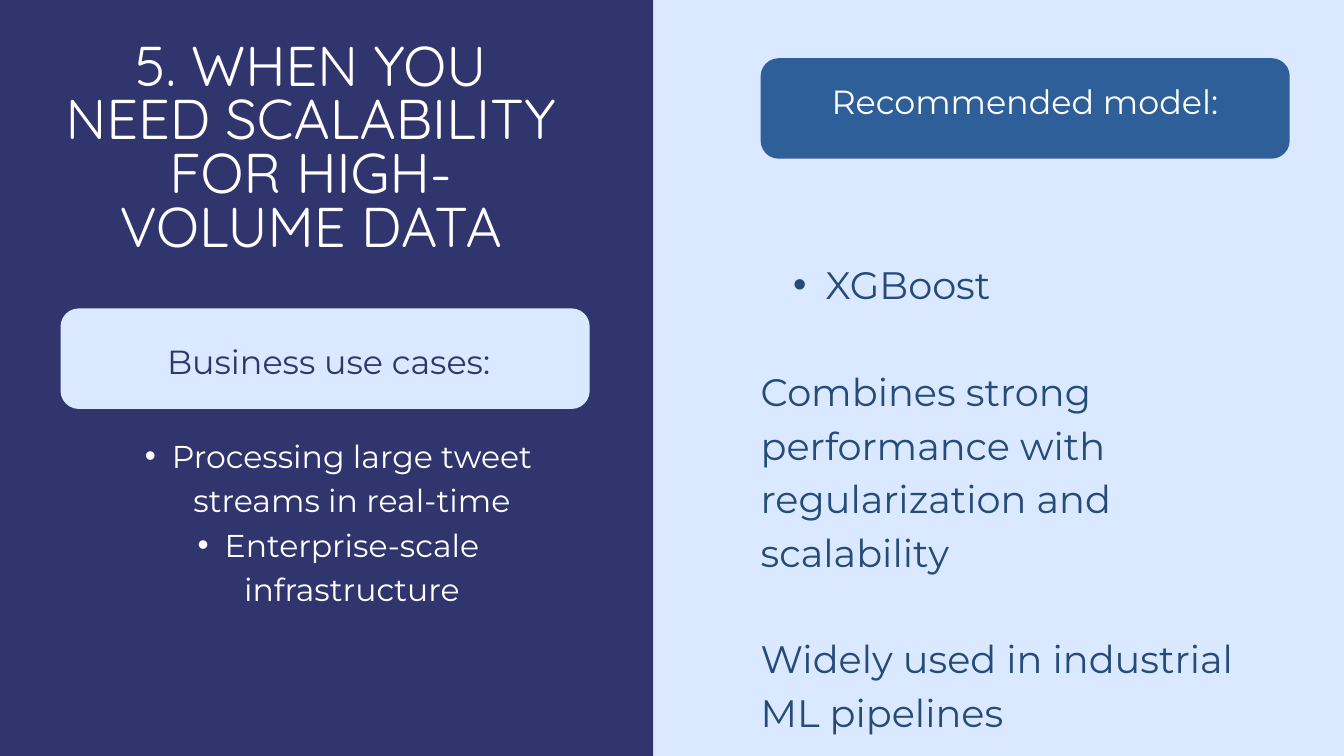
from lxml.etree import SubElement
from pptx import Presentation
from pptx.dml.color import RGBColor
from pptx.enum.shapes import MSO_SHAPE as Shape
from pptx.enum.text import MSO_ANCHOR as Anchor, MSO_AUTO_SIZE as AutoSize, PP_ALIGN as Align
from pptx.oxml.ns import qn
from pptx.util import Cm, Pt

COLORS = {"navy": "31356E", "pale": "DAE9FF", "blue": "2F5F98", "ink": "244B79", "white": "FFFFFF"}
CARD_W, CARD_H = 20, 3.8


def place(holder, left, top, width, height):
    """Position a text holder and strip its margins; return its text frame."""
    holder.left, holder.top, holder.width, holder.height = map(Cm, (left, top, width, height))
    frame = holder.text_frame
    frame.word_wrap = True
    frame.auto_size = AutoSize.NONE
    frame.vertical_anchor = Anchor.TOP
    frame.margin_left = frame.margin_top = frame.margin_right = frame.margin_bottom = 0
    return frame


def write(paragraph, text, font, size, color, leading, align, before=0, bullet_indent=0):
    """Add one run; bullet_indent in cm hangs a bullet, 0 means none."""
    paragraph.alignment = align
    paragraph.line_spacing = Pt(leading)
    paragraph.space_before = Pt(before)
    run = paragraph.add_run()
    run.text = text
    run.font.name = font
    run.font.size = Pt(size)
    run.font.color.rgb = RGBColor.from_string(COLORS[color])
    props = paragraph._p.get_or_add_pPr()
    props.set("marL", str(Cm(2 * bullet_indent)))
    props.set("indent", str(-Cm(bullet_indent)))
    if bullet_indent:
        SubElement(props, qn("a:buChar")).set("char", "•")
    else:
        SubElement(props, qn("a:buNone"))


prs = Presentation()
prs.slide_width, prs.slide_height = Cm(50.8), Cm(28.58)
slide = prs.slides.add_slide(prs.slide_layouts[3])
slide.background.fill.solid()
slide.background.fill.fore_color.rgb = RGBColor.from_string(COLORS["pale"])
title, use_cases, model = slide.placeholders

# Left panel and the two heading cards, behind the text
blocks = [
    (Shape.RECTANGLE, 0, 0, 24.69, 28.58, "navy"),
    (Shape.ROUNDED_RECTANGLE, 2.29, 11.66, CARD_W, CARD_H, "pale"),
    (Shape.ROUNDED_RECTANGLE, 28.75, 2.2, CARD_W, CARD_H, "blue"),
]
for kind, left, top, width, height, color in blocks:
    block = slide.shapes.add_shape(kind, Cm(left), Cm(top), Cm(width), Cm(height))
    block.shadow.inherit = False
    block.fill.solid()
    block.fill.fore_color.rgb = RGBColor.from_string(COLORS[color])
    block.line.fill.background()
    if kind == Shape.ROUNDED_RECTANGLE:
        block.adjustments[0] = 0.18
    title.element.addprevious(block.element)

# Title
heading = place(title, 2.29, 1.65, 18.9, 6.2)
write(heading.paragraphs[0], "5. WHEN YOU NEED SCALABILITY FOR HIGH-VOLUME DATA",
      "Quicksand", 60, "white", 57.6, Align.CENTER)

# Card labels
for text, left, top, color in [
    ("Business use cases:", 2.97, 12.65, "navy"),
    ("Recommended model:", 29.29, 2.82, "white"),
]:
    label = place(slide.shapes.add_textbox(0, 0, 0, 0), left, top, 18.9, 1.7)
    write(label.paragraphs[0], text, "Montserrat", 35.8, color, 50.2, Align.CENTER)

# Business use cases
cases = place(use_cases, 2.29, 16.28, CARD_W, 6.6)
for i, text in enumerate(["Processing large tweet streams in real-time",
                          "Enterprise-scale infrastructure"]):
    paragraph = cases.add_paragraph() if i else cases.paragraphs[0]
    write(paragraph, text, "Montserrat", 33.8, "white", 47.4, Align.CENTER, bullet_indent=1.02)

# Recommended model, one line of space between paragraphs
reasons = place(model, 28.75, 9.6, 19.46, 17.96)
for i, (text, before, indent) in enumerate([
    ("XGBoost", 0, 1.23),
    ("Combines strong performance with regularization and scalability", 57.3, 0),
    ("Widely used in industrial ML pipelines", 57.3, 0),
]):
    paragraph = reasons.add_paragraph() if i else reasons.paragraphs[0]
    write(paragraph, text, "Montserrat", 41, "ink", 57.3, Align.LEFT, before, indent)

prs.save("out.pptx")
